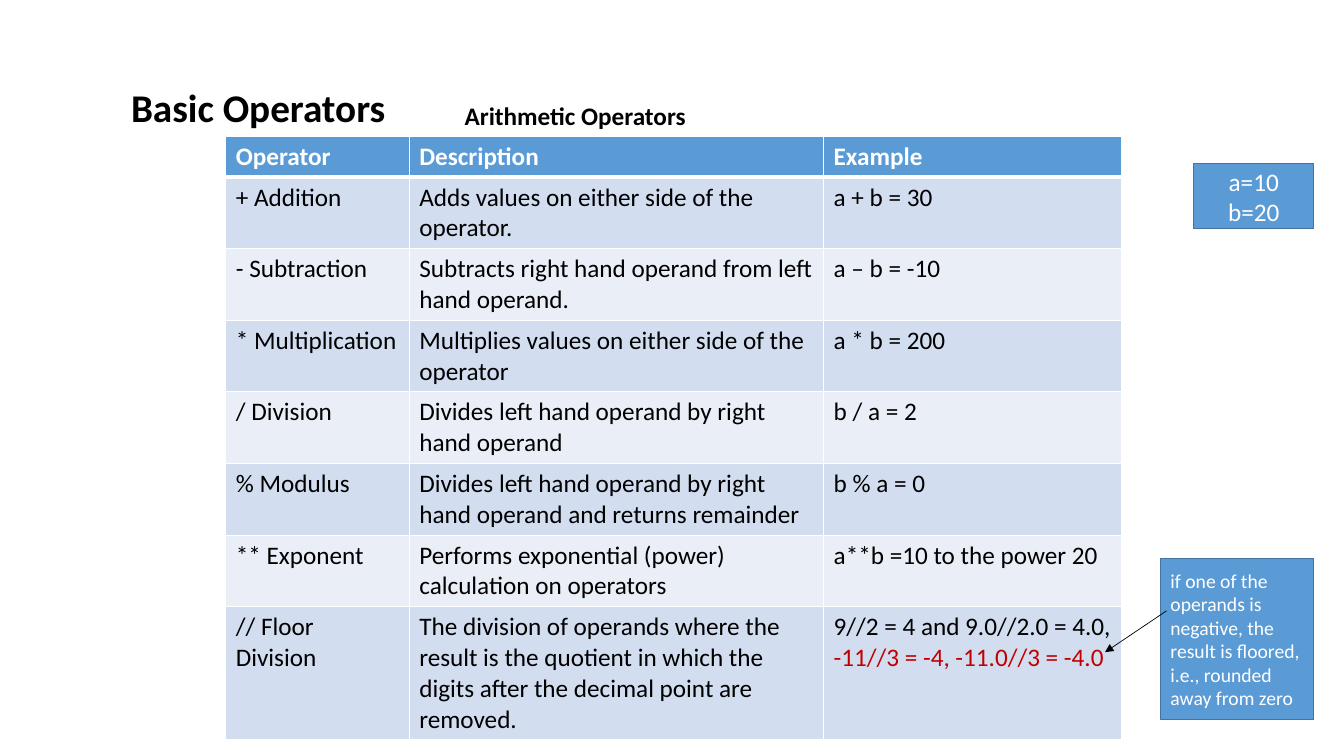
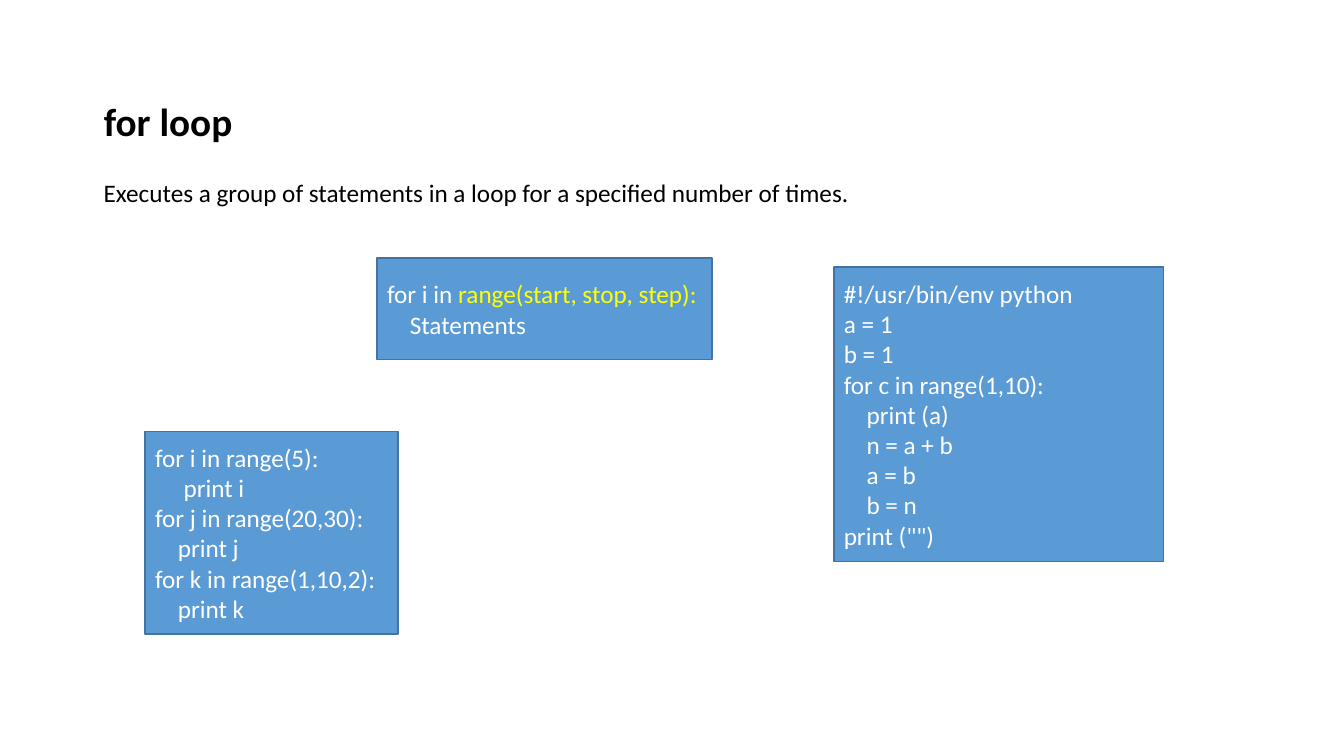
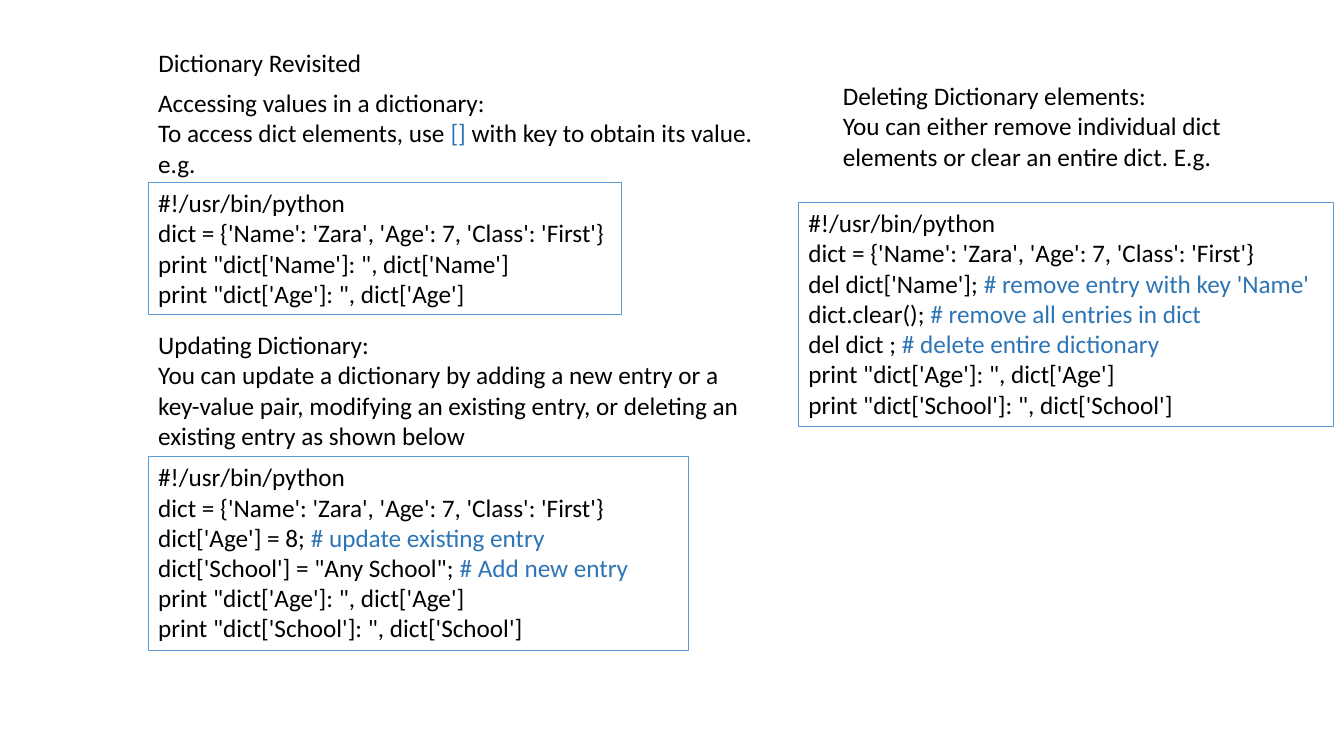
from pptx import Presentation, util as u
from pptx.dml.color import RGBColor
from pptx.enum import shapes, text
from pptx.oxml.ns import qn
from lxml import etree

W, H = u.Inches(13.33), u.Inches(7.5)
FONT = "Calibri"
SPACE = 0.226  # width of one space, as a share of the text size
HUE = {"ink": "000000", "paper": "FFFFFF", "blue": "5B9BD5", "edge": "43739E",
       "note": "2E75B6", "warn": "C00000", "glow": "FFFF00",
       "odd": "D2DEEF", "even": "EAEFF7"}
LEFT, MID = text.PP_ALIGN.LEFT, text.PP_ALIGN.CENTER


# Shared helpers: boxes are (left, top, width, height) in percent of the slide
def rgb(hue):
    return RGBColor.from_string(HUE[hue])


def place(*box):
    return [round(side * part / 100) for side, part in zip((W, H, W, H), box)]


def write(frame, lines, hue="ink", mark="note", size=18, bold=False, align=LEFT):
    """Fill a frame; ~ switches between the two colours, lead spaces indent."""
    for n, line in enumerate(lines):
        para = frame.paragraphs[0] if n == 0 else frame.add_paragraph()
        para.alignment = align
        bare = line.lstrip(" ")
        lead = len(line) - len(bare)
        if lead:
            para._p.get_or_add_pPr().set("marL", str(u.Pt(lead * SPACE * size)))
        for k, part in enumerate(bare.split("~")):
            if part:
                run = para.add_run()
                run.text = part
                font = run.font
                font.name, font.size, font.bold = FONT, u.Pt(size), bold
                font.color.rgb = rgb(mark if k % 2 else hue)


def title(slide, box, words, size=28, bold=True):
    head = slide.shapes.title
    head.left, head.top, head.width, head.height = place(*box)
    frame = head.text_frame
    frame.auto_size = text.MSO_AUTO_SIZE.NONE
    frame.word_wrap = False
    frame.vertical_anchor = text.MSO_ANCHOR.TOP
    write(frame, [words], size=size, bold=bold)


def prose(slide, box, lines, wrap=False, bold=False):
    frame = slide.shapes.add_textbox(*place(*box)).text_frame
    frame.word_wrap = wrap
    write(frame, lines, bold=bold)


def panel(slide, box, lines, fill=True, **style):
    """A code or note box: solid blue, or outlined only."""
    shape = slide.shapes.add_shape(shapes.MSO_SHAPE.RECTANGLE, *place(*box))
    shape.shadow.inherit = False
    if fill:
        shape.fill.solid()
        shape.fill.fore_color.rgb = rgb("blue")
    else:
        shape.fill.background()
    shape.line.color.rgb = rgb("edge" if fill else "blue")
    shape.line.width = u.Pt(1 if fill else 0.75)
    frame = shape.text_frame
    frame.word_wrap = True
    frame.vertical_anchor = text.MSO_ANCHOR.MIDDLE if fill else text.MSO_ANCHOR.TOP
    write(frame, lines, hue="paper" if fill else "ink", **style)


def arrow(slide, start, end):
    line = slide.shapes.add_connector(shapes.MSO_CONNECTOR.STRAIGHT,
                                      *place(*start, *end))
    line.line.color.rgb = rgb("ink")
    line.line.width = u.Pt(0.5)
    etree.SubElement(line.line._get_or_add_ln(), qn("a:tailEnd"), type="triangle")
    etree.SubElement(line._element.spPr, qn("a:effectLst"))


def border(cell, base):
    props = cell._tc.get_or_add_tcPr()
    for n, side in enumerate(("lnL", "lnR", "lnT", "lnB")):
        wide = base if side == "lnB" else 1
        edge = etree.Element(qn("a:" + side), w=str(u.Pt(wide)))
        fill = etree.SubElement(edge, qn("a:solidFill"))
        etree.SubElement(fill, qn("a:srgbClr"), val=HUE["paper"])
        props.insert(n, edge)


def grid(slide, box, rows, cols):
    """Banded table; cols are relative widths, rows grow to fit their text."""
    spot = place(*box)
    table = slide.shapes.add_table(len(rows), len(cols), *spot).table
    for col, part in zip(table.columns, cols):
        col.width = round(spot[2] * part / sum(cols))
    for r, row in enumerate(rows):
        for c, words in enumerate(row):
            cell = table.cell(r, c)
            cell.fill.solid()
            cell.fill.fore_color.rgb = rgb("odd" if r % 2 else "even") if r else rgb("blue")
            border(cell, 1 if r else 3)
            write(cell.text_frame, words.split("\n"), hue="ink" if r else "paper",
                  mark="warn", bold=r == 0)


# Slide 1: operator table with side notes
OPS = [
    ("Operator", "Description", "Example"),
    ("+ Addition", "Adds values on either side of the operator.", "a + b = 30"),
    ("- Subtraction", "Subtracts right hand operand from left hand operand.", "a – b = -10"),
    ("* Multiplication", "Multiplies values on either side of the operator", "a * b = 200"),
    ("/ Division", "Divides left hand operand by right hand operand", "b / a = 2"),
    ("% Modulus", "Divides left hand operand by right hand operand and returns remainder",
     "b % a = 0"),
    ("** Exponent", "Performs exponential (power) calculation on operators",
     "a**b =10 to the power 20"),
    ("// Floor Division", "The division of operands where the result is the quotient "
     "in which the digits after the decimal point are removed.",
     "9//2 = 4 and 9.0//2.0 = 4.0,\n~-11//3 = -4, -11.0//3 = -4.0"),
]


def basics(slide):
    title(slide, (9, 10.4, 20.63, 7.6), "Basic Operators")
    grid(slide, (16.8, 18, 66.69, 43.2), OPS, (1.82, 4.11, 2.96))
    panel(slide, (86.35, 73.87, 11.4, 21.33),
          ["if one of the operands is negative, the result is floored, "
           "i.e., rounded away from zero"], size=14)
    arrow(slide, (86.8, 80.8), (82.22, 86.27))
    prose(slide, (33.83, 12.67, 18.08, 5.33), ["Arithmetic Operators"], bold=True)
    panel(slide, (88.82, 21.6, 8.93, 8.67), ["a=10", "b=20"], align=MID)


# Slide 2: loop syntax and two samples
def loops(slide):
    left = 6.98
    title(slide, (left, 12.27, 11.18, 7.6), "for loop")
    prose(slide, (left, 22.8, 57.24, 5.33),
          ["Executes a group of statements in a loop for a specified number of times."])
    panel(slide, (28.06, 34.13, 24.91, 13.47),
          ["for i in ~range(start, stop, step):", "    Statements"], mark="glow")
    panel(slide, (10.8, 57.07, 18.83, 26.8),
          ["for i in range(5):", "     print i",
           "for j in range(20,30):", "    print j",
           "for k in range(1,10,2):", "    print k"])
    panel(slide, (62.04, 35.33, 24.53, 38.93),
          ["#!/usr/bin/env python", "a = 1", "b = 1", "for c in range(1,10):",
           "    print (a)", "    n = a + b", "    a = b", "    b = n", 'print ("")'])


# Slide 3: three dictionary topics, each prose over a code box
START = ["#!/usr/bin/python", "dict = {'Name': 'Zara', 'Age': 7, 'Class': 'First'}"]


def show(key):
    return f"print \"dict['{key}']: \", dict['{key}']"


def topic(slide, about, lines, box, code, wrap=True):
    prose(slide, about, lines, wrap=wrap)
    panel(slide, box, START + code, fill=False)


def dicts(slide):
    left = 11.03
    title(slide, (left, 5.6, 16.8, 5.33), "Dictionary Revisited", size=18, bold=False)
    topic(slide, (left, 10.93, 46.21, 13.47),
          ["Accessing values in a dictionary:",
           "To access dict elements, use~ [] ~with key to obtain its value.", "e.g."],
          (left, 24.13, 35.18, 17.47), [show("Name"), show("Age")], wrap=False)
    topic(slide, (left, 42.93, 44.94, 17.47),
          ["Updating Dictionary:",
           "You can update a dictionary by adding a new entry or a key-value pair, "
           "modifying an existing entry, or deleting an existing entry as shown below"],
          (left, 60.4, 40.21, 25.6),
          ["dict['Age'] = 8; ~# update existing entry",
           "dict['School'] = \"Any School\"; ~# Add new entry",
           show("Age"), show("School")])
    topic(slide, (61.97, 10, 35.93, 13.47),
          ["Deleting Dictionary elements:",
           "You can either remove individual dict elements or clear an entire dict. E.g."],
          (59.41, 26.8, 39.83, 29.6),
          ["del dict['Name']; ~# remove entry with key 'Name'",
           "dict.clear(); ~# remove all entries in dict",
           "del dict ; ~# delete entire dictionary",
           show("Age"), show("School")])


def main():
    deck = Presentation()
    deck.slide_width, deck.slide_height = W, H
    for build in (basics, loops, dicts):
        build(deck.slides.add_slide(deck.slide_layouts[5]))
    deck.save("out.pptx")


if __name__ == "__main__":
    main()
